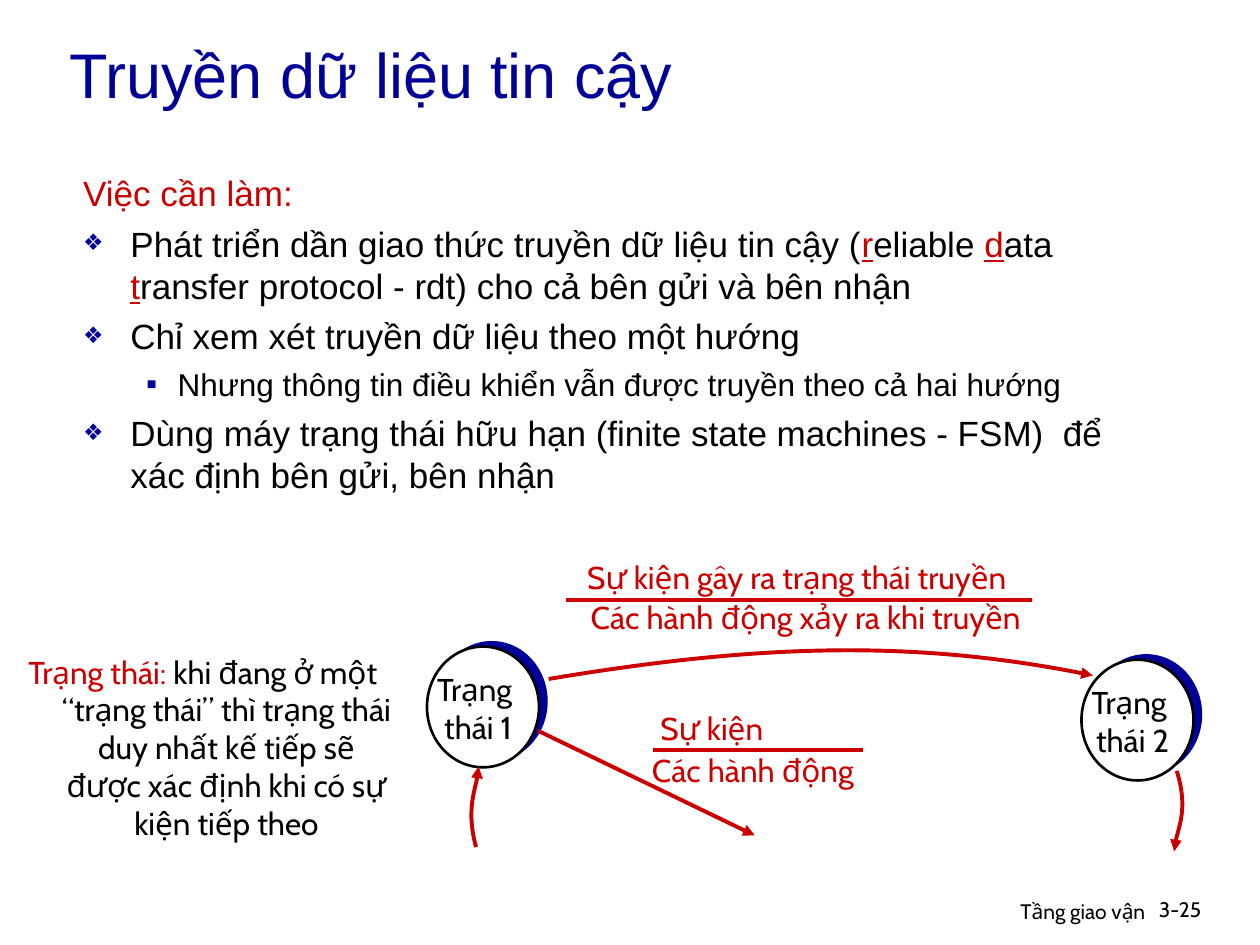
from lxml.etree import SubElement
from pptx import Presentation
from pptx.dml.color import RGBColor
from pptx.enum.shapes import MSO_CONNECTOR, MSO_SHAPE
from pptx.enum.text import MSO_ANCHOR, MSO_AUTO_SIZE, PP_ALIGN
from pptx.oxml.ns import qn
from pptx.util import Pt

BLUE = RGBColor(0x00, 0x00, 0x99)
RED = RGBColor(0xCC, 0x00, 0x00)
BLACK = RGBColor(0x00, 0x00, 0x00)
WHITE = RGBColor(0xFF, 0xFF, 0xFF)

deck = Presentation()
deck.slide_width, deck.slide_height = Pt(720), Pt(540)
slide = deck.slides.add_slide(deck.slide_layouts[1])
shapes = slide.shapes


def label(text, x, y, w, h, color=RED, size=18, align=PP_ALIGN.CENTER, wrap=False):
    box = shapes.add_textbox(Pt(x), Pt(y), Pt(w), Pt(h))
    frame = box.text_frame
    frame.word_wrap = wrap
    frame.text = text
    for para in frame.paragraphs:
        para.alignment = align
        for run in para.runs:
            run.font.name = "Cabin"
            run.font.size = Pt(size)
            run.font.color.rgb = color
    return frame


def stroke(shape, arrow):
    """Give a line or curve its red pen, with an arrowhead at its end if asked."""
    shape.line.color.rgb = RED
    shape.line.width = Pt(2.25)
    if arrow:
        SubElement(shape.line._get_or_add_ln(), qn("a:tailEnd"), type="triangle")


# Title
title = shapes.title
title.left, title.top, title.width, title.height = Pt(32.4), Pt(15), Pt(408), Pt(53.5)
frame = title.text_frame
frame.text = "Truyền dữ liệu tin cậy"
frame.auto_size = MSO_AUTO_SIZE.NONE
frame.vertical_anchor = MSO_ANCHOR.MIDDLE
para = frame.paragraphs[0]
para.alignment = PP_ALIGN.LEFT
font = para.runs[0].font
font.name, font.size, font.color.rgb = "Arial", Pt(36), BLUE

# List: level, then runs; runs marked True are red underlined initials
items = [
    (0, [("Phát triển dần giao thức truyền dữ liệu tin cậy (", False), ("r", True),
         ("eliable ", False), ("d", True), ("ata ", False), ("t", True),
         ("ransfer protocol - rdt) cho cả bên gửi và bên nhận", False)]),
    (0, [("Chỉ xem xét truyền dữ liệu theo một hướng", False)]),
    (1, [("Nhưng thông tin điều khiển vẫn được truyền theo cả hai hướng", False)]),
    (0, [("Dùng máy trạng thái hữu hạn (finite state machines - FSM)  để "
          "xác định bên gửi, bên nhận", False)]),
]
# Per level: left indent, hanging indent, space before, size, bullet, bullet percent
levels = [(27, -27, 5, 20, "❖", 65), (54, -18, 4.5, 18, "▪", 100)]

body = slide.placeholders[1]
body.left, body.top, body.width, body.height = Pt(40.3), Pt(94.3), Pt(625.7), Pt(264)
frame = body.text_frame
frame.text = "Việc cần làm:"
frame.auto_size = MSO_AUTO_SIZE.NONE
head = frame.paragraphs[0]
head.space_before = Pt(0)
props = head._p.get_or_add_pPr()
props.set("marL", str(Pt(27)))
props.set("indent", str(Pt(-27)))
SubElement(props, qn("a:buNone"))
font = head.runs[0].font
font.name, font.size, font.color.rgb = "Arial", Pt(20), RED

for level, parts in items:
    left, hang, before, size, mark, scale = levels[level]
    para = frame.add_paragraph()
    para.level = level
    para.space_before = Pt(before)
    props = para._p.get_or_add_pPr()
    props.set("marL", str(Pt(left)))
    props.set("indent", str(Pt(hang)))
    SubElement(SubElement(props, qn("a:buClr")), qn("a:srgbClr"), val=str(BLUE))
    SubElement(props, qn("a:buSzPct"), val=str(scale * 1000))
    SubElement(props, qn("a:buChar"), char=mark)
    for text, key in parts:
        run = para.add_run()
        run.text = text
        font = run.font
        font.name, font.size = "Arial", Pt(size)
        font.color.rgb = RED if key else BLACK
        if key:
            font.underline = True

# States: a white disc over a blue one, with a name on top
for name, x, y in [("Trạng \nthái 1", 244, 369.5), ("Trạng \nthái 2", 618, 377)]:
    for dx, dy, fill in [(5, -3.2, BLUE), (0, 0, WHITE)]:
        disc = shapes.add_shape(MSO_SHAPE.OVAL, Pt(x + dx), Pt(y + dy), Pt(64), Pt(69))
        disc.shadow.inherit = False
        disc.fill.solid()
        disc.fill.fore_color.rgb = fill
        if fill == WHITE:
            disc.line.color.rgb = BLACK
            disc.line.width = Pt(1.5)
        else:
            disc.line.fill.background()
    label(name, x - 5, y + 10, 68.4, 50.4, BLACK)

# Curved arrows: start, two control points, end
curves = [
    [(313.5, 388), (430, 368.5), (523, 365), (624.5, 386)],
    [(272, 484), (266.5, 463.5), (273.5, 445), (273.5, 438)],
    [(672.5, 440.5), (679, 461.5), (671, 479.5), (671, 486.5)],
]
for start, *rest in curves:
    pen = shapes.build_freeform(Pt(start[0]), Pt(start[1]))
    pen.add_line_segments([(Pt(x), Pt(y)) for x, y in rest], close=False)
    curve = pen.convert_to_shape()
    curve.shadow.inherit = False
    curve.fill.background()
    stroke(curve, True)
    track = next(curve._element.iter(qn("a:path")))
    bend = SubElement(track, qn("a:cubicBezTo"))
    for step in track.findall(qn("a:lnTo")):
        bend.append(step[0])
        track.remove(step)

# Straight lines: two rules between event and action, one arrow
for x1, y1, x2, y2, arrow in [
    (323.3, 342.7, 589.7, 342.7, False),
    (373, 428.5, 493, 428.5, False),
    (307.5, 417.6, 431.3, 477.4, True),
]:
    line = shapes.add_connector(MSO_CONNECTOR.STRAIGHT, Pt(x1), Pt(y1), Pt(x2), Pt(y2))
    stroke(line, arrow)
    SubElement(line._element.spPr, qn("a:effectLst"))

# Events and actions
label("Sự kiện gây ra trạng thái truyền", 314.6, 315.4, 281.5, 29)
label("Các hành động xảy ra khi truyền", 316.8, 338.4, 287.3, 29)
label("Sự kiện", 368.6, 401.8, 76.3, 29)
label("Các hành động", 352.8, 425.5, 154.8, 29, wrap=True)

# Meaning of a state
frame = label("Trạng thái:", 0, 369.4, 231.8, 97.2, wrap=True)
para = frame.paragraphs[0]
props = para._p.get_or_add_pPr()
props.set("marL", str(Pt(27)))
props.set("indent", str(Pt(-27)))
run = para.add_run()
run.text = (" khi đang ở một “trạng thái” thì trạng thái duy nhất kế tiếp sẽ "
            "được xác định khi có sự kiện tiếp theo")
run.font.name, run.font.size, run.font.color.rgb = "Cabin", Pt(18), BLACK

# Footer
label("Tầng giao vận", 433.4, 509.8, 228.2, 22.3, BLACK, 12, PP_ALIGN.RIGHT, True)
label("3-25", 655.2, 509, 53.3, 21.6, BLACK, 12, PP_ALIGN.LEFT, True)

deck.save("out.pptx")
